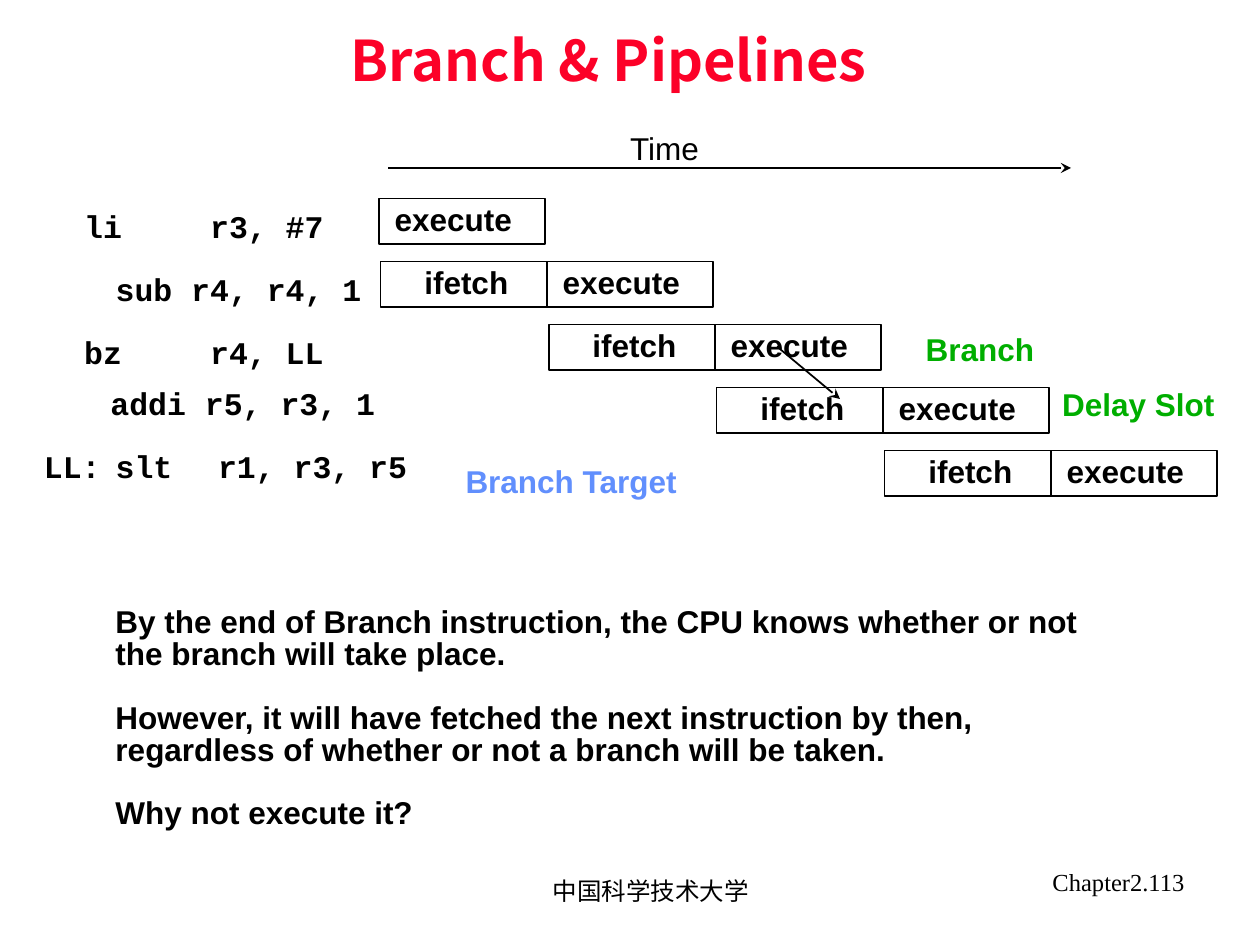
import pptx
import pptx.util
import pptx.dml.color
import pptx.enum.shapes
import pptx.enum.text
import pptx.oxml
import pptx.oxml.ns

Pt = pptx.util.Pt
ALIGN = pptx.enum.text.PP_ALIGN
ANCHOR = pptx.enum.text.MSO_ANCHOR
LINE = pptx.enum.shapes.MSO_CONNECTOR.STRAIGHT
RECT = pptx.enum.shapes.MSO_SHAPE.RECTANGLE
HUE = {"ink": "000000", "title": "FC0128", "branch": "00AE00", "target": "618FFD"}

LABEL = {"name": "Arial", "size": Pt(18), "bold": True}
PLAIN = {"name": "Arial", "size": Pt(18)}
CODE = {"name": "Courier New", "size": Pt(18), "bold": True}
TITLE = {"name": "Noto Sans CJK SC", "size": Pt(32), "bold": True}
FOOT = {"name": "Times New Roman", "size": Pt(14)}
WIDE = (7.2, 3.6)
SLIM = (5, 2.2)


def rgb(hue):
    return pptx.dml.color.RGBColor.from_string(HUE[hue])


def apply(item, form):
    for key, value in form.items():
        setattr(item, key, value)


def node(parent, tag, **attrs):
    child = pptx.oxml.ns.qn(tag)
    child = parent.makeelement(child, attrs)
    parent.append(child)
    return child


def write(slide, box, lines, font, hue="ink", pad=SLIM, form=None, tabs=(),
          gaps=(), anchor=ANCHOR.TOP):
    """Place a text box; gaps lists the lines that start a new block."""
    shape = slide.shapes.add_textbox(*map(Pt, box))
    frame = shape.text_frame
    side, edge = map(Pt, pad)
    apply(frame, {"margin_left": side, "margin_right": side, "margin_top": edge,
                  "margin_bottom": edge, "word_wrap": True,
                  "vertical_anchor": anchor})
    for num, line in enumerate(lines):
        para = frame.add_paragraph() if num else frame.paragraphs[0]
        apply(para, form or {})
        if num in gaps:
            para.space_before = Pt(18)
        if tabs:
            stops = node(para._p.get_or_add_pPr(), "a:tabLst")
            for stop in tabs:
                node(stops, "a:tab", pos=str(int(Pt(stop))), algn="l")
        run = para.add_run()
        run.text = line
        apply(run.font, font)
        run.font.color.rgb = rgb(hue)


def label(slide, left, top, width, text, hue="ink"):
    write(slide, (left, top, width, 22.5), [text], LABEL, hue,
          form={"line_spacing": 0.85})


def rule(slide, start, end, arrow=False):
    line = slide.shapes.add_connector(LINE, *map(Pt, start + end))
    line.line.width = Pt(1)
    line.line.color.rgb = rgb("ink")
    if arrow:
        node(line.line._get_or_add_ln(), "a:tailEnd", type="stealth")
    node(line._element.spPr, "a:effectLst")
    return line


def stage(slide, left, top, width):
    rect = slide.shapes.add_shape(RECT, *map(Pt, (left, top, width, 26)))
    rect.shadow.inherit = False
    rect.fill.background()
    rect.line.width = Pt(1)
    rect.line.color.rgb = rgb("ink")
    return rect


def pipe(slide, left, top):
    """Draw the staircase of overlapping instruction stages."""
    step, drop, half = 96, 36, 95
    stage(slide, left, top, half)
    label(slide, left + 4, top + 2, 82, "execute")
    for num in range(4):
        x = left + 1 + step * num
        y = top + drop * (num + 1)
        rect = stage(slide, x, y, 2 * half)
        split = rule(slide, (x + half, y), (x + half, y + 26))
        split.begin_connect(rect, 0)
        split.end_connect(rect, 2)
        label(slide, x + 20, y + 2, 70, "ifetch")
        label(slide, x + half + 4, y + 2, 82, "execute")
    rule(slide, (444, 198), (480, 228), True)


def code(slide, left, top):
    rows = [
        (23, 0, "li\tr3, #7", (72,)),
        (41, 36, "sub r4, r4, 1", ()),
        (23, 72, "bz\tr4, LL", (72,)),
        (38, 101.5, "addi r5, r3, 1", ()),
        (0, 137.5, "LL:\tslt\tr1, r3, r5", (41, 99.5)),
    ]
    for x, y, text, tabs in rows:
        write(slide, (left + x, top + y, 234, 29), [text], CODE, pad=WIDE, tabs=tabs)


def clock(slide, left, top, width):
    write(slide, (left + 131, top, 60, 29), ["Time"], PLAIN, pad=WIDE)
    rule(slide, (left, top + 26), (left + width, top + 26), True)


def notes(slide, box):
    write(slide, box, [
        "By the end of Branch instruction, the CPU knows whether or not",
        "the branch will take place.",
        "However, it will have fetched the next instruction by then,",
        "regardless of whether or not a branch will be taken.",
        "Why not execute it?",
    ], LABEL, form={"line_spacing": 0.85}, gaps=(2, 4))


def foot(slide):
    write(slide, (258, 491, 228, 36), ["中国科学技术大学"], FOOT, pad=WIDE,
          form={"alignment": ALIGN.CENTER}, anchor=ANCHOR.MIDDLE)
    write(slide, (516, 492, 168, 37), ["Chapter2.113"], FOOT, pad=WIDE,
          form={"alignment": ALIGN.RIGHT})


def main():
    deck = pptx.Presentation()
    deck.slide_width, deck.slide_height = Pt(720), Pt(540)
    slide = deck.slides.add_slide(deck.slide_layouts[6])
    write(slide, (36, 16.5, 624, 39), ["Branch & Pipelines"], TITLE, "title",
          form={"alignment": ALIGN.CENTER, "line_spacing": 0.9})
    clock(slide, 222, 70, 390)
    code(slide, 18, 114.5)
    pipe(slide, 216.5, 113.5)
    label(slide, 524, 189.5, 80, "Branch", "branch")
    label(slide, 602, 221, 105, "Delay Slot", "branch")
    label(slide, 261, 265, 140, "Branch Target", "target")
    notes(slide, (61, 345, 580, 132.5))
    foot(slide)
    deck.save("out.pptx")


if __name__ == "__main__":
    main()
